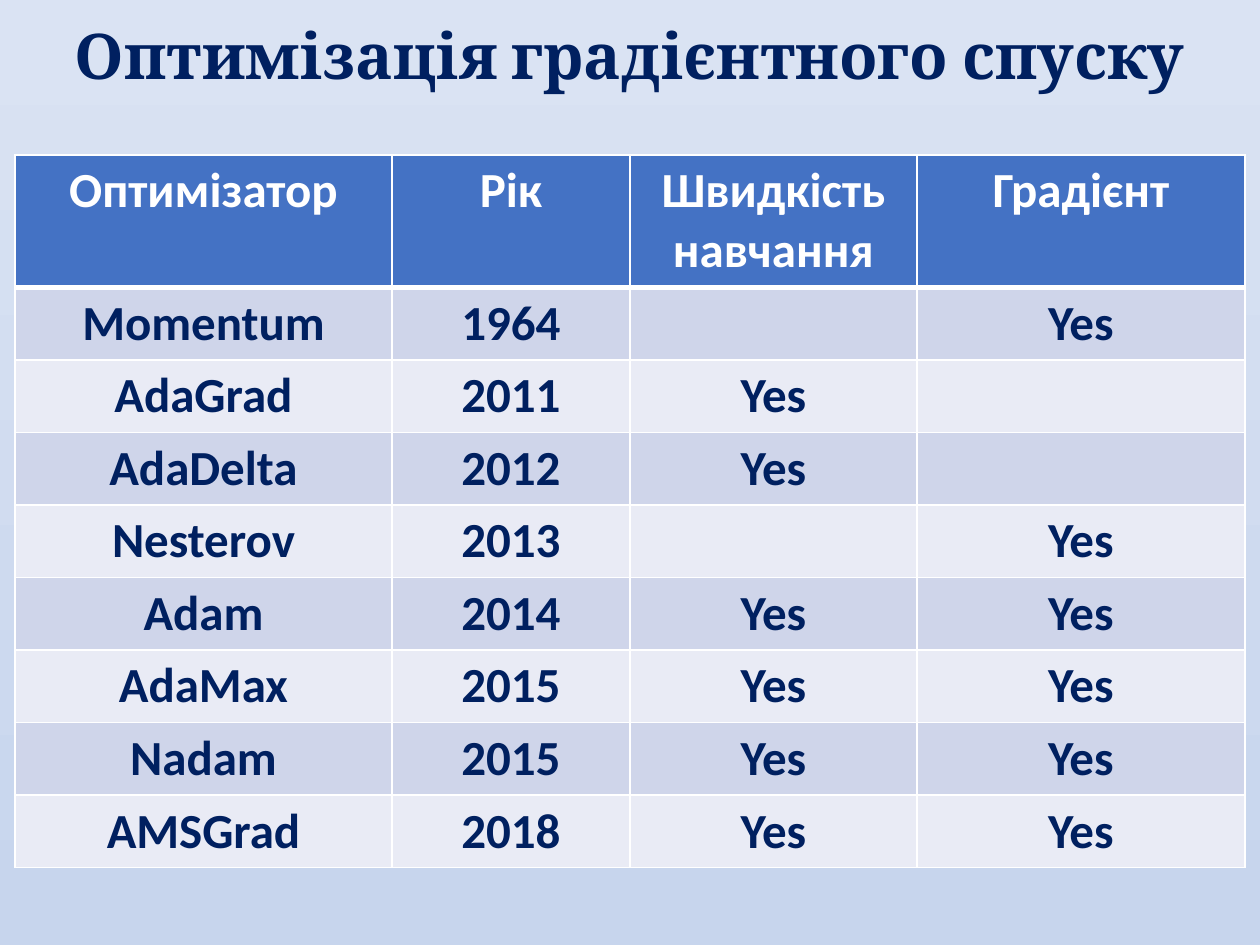
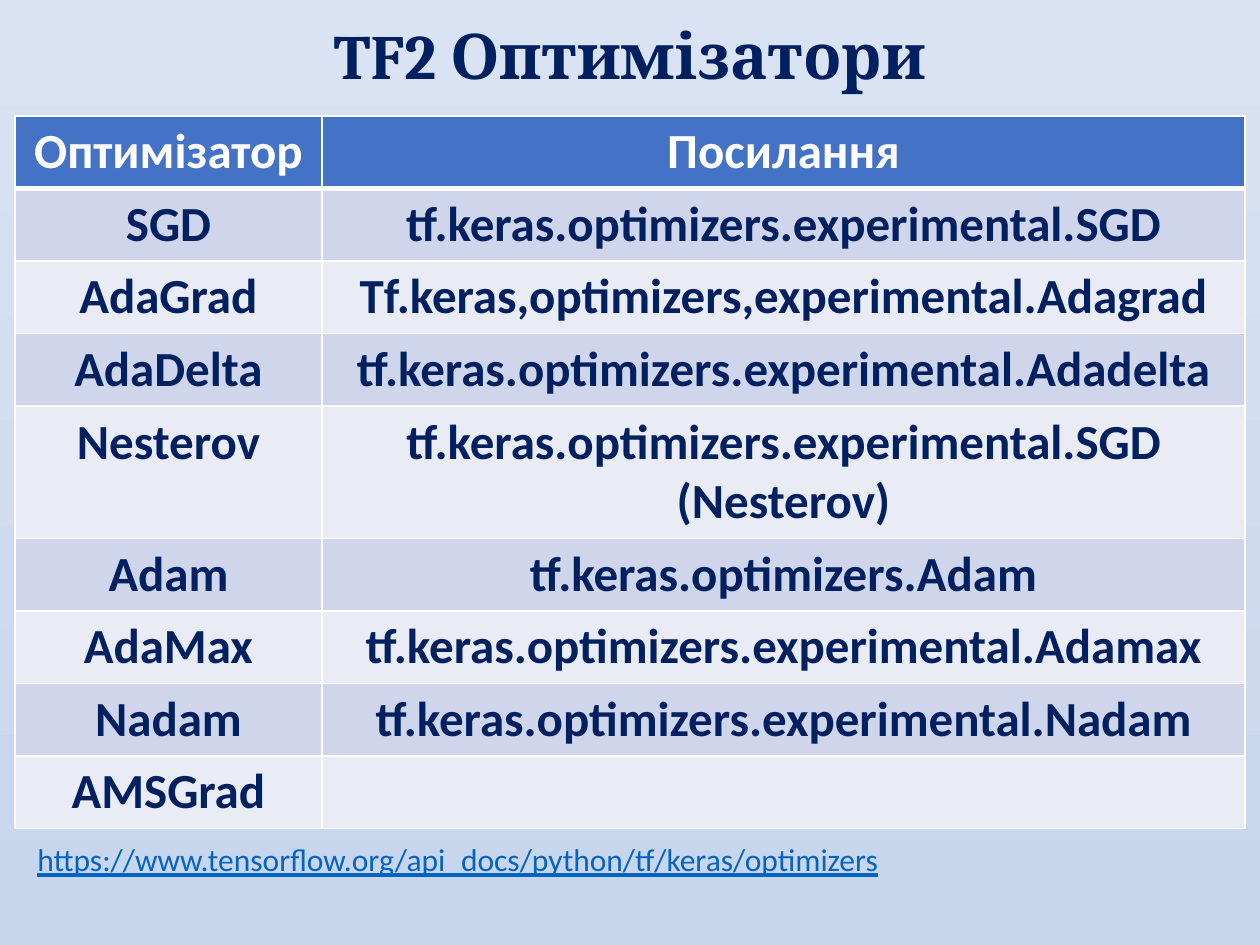
from lxml.etree import SubElement as Sub
from pptx import Presentation
from pptx.dml.color import RGBColor as RGB
from pptx.enum.text import MSO_ANCHOR as Anchor, MSO_AUTO_SIZE as Fit, PP_ALIGN as Align
from pptx.oxml.ns import qn
from pptx.util import Emu, Pt

SCALE = 914400 / 126  # EMU in one px
WIDE, HIGH = 1260, 945
EDGE = 15
ROW = 71
HUES = {
    "sky": "DAE3F3", "mist": "C7D5ED", "navy": "002060", "white": "FFFFFF",
    "head": "4472C4", "odd": "CFD5EA", "even": "E9EBF5", "link": "0563C1",
}


def px(size):
    return Emu(round(size * SCALE))


def hue(name):
    return RGB.from_string(HUES[name])


class Deck:
    def __init__(self):
        self.prs = Presentation()
        self.prs.slide_width, self.prs.slide_height = px(WIDE), px(HIGH)
        self.page = None

    def start(self, title):
        """Add a slide with the shared background and title."""
        self.page = self.prs.slides.add_slide(self.prs.slide_layouts[5])
        fill = self.page.background.fill
        fill.gradient()
        fill.gradient_angle = 270
        for stop, name in zip(fill.gradient_stops, ("sky", "mist")):
            stop.color.rgb = hue(name)
        head = self.page.shapes.title
        self.place(head, EDGE, 10, WIDE - 2 * EDGE, 89)
        frame = head.text_frame
        frame.text = title
        frame.auto_size = Fit.NONE
        frame.vertical_anchor = Anchor.MIDDLE
        self.style(frame, 36, "navy", "Cambria")

    def place(self, shape, x, y, w, h):
        shape.left, shape.top, shape.width, shape.height = map(px, (x, y, w, h))

    def style(self, frame, size, color, face="Calibri", bold=True, align=Align.CENTER):
        for para in frame.paragraphs:
            para.alignment = align
            font = para.font
            font.name, font.size, font.bold = face, Pt(size), bold
            font.color.rgb = hue(color)

    def border(self, cell, top=1, base=1):
        props = cell._tc.get_or_add_tcPr()
        for side, width in (("L", 1), ("R", 1), ("T", top), ("B", base)):
            line = Sub(props, qn(f"a:ln{side}"), w=str(Pt(width)))
            Sub(Sub(line, qn("a:solidFill")), qn("a:srgbClr"), val=HUES["white"])

    def table(self, y, cols, rows, top):
        """Draw a banded grid; top is the height of the header row."""
        high = top + ROW * (len(rows) - 1)
        grid = self.page.shapes.add_table(
            len(rows), len(cols), px(EDGE), px(y), px(sum(cols)), px(high)).table
        for col, wide in zip(grid.columns, cols):
            col.width = px(wide)
        for i, row in enumerate(rows):
            grid.rows[i].height = px(ROW if i else top)
            band = ("odd" if i % 2 else "even") if i else "head"
            for j, text in enumerate(row):
                cell = grid.cell(i, j)
                cell.text = text
                self.style(cell.text_frame, 28, "navy" if i else "white")
                self.border(cell, 3 if i == 1 else 1, 1 if i else 3)
                cell.fill.solid()
                cell.fill.fore_color.rgb = hue(band)

    def link(self, text, x, y, w, h):
        box = self.page.shapes.add_textbox(*map(px, (x, y, w, h)))
        frame = box.text_frame
        frame.word_wrap = True
        frame.text = text
        self.style(frame, 18, "link", bold=False, align=Align.LEFT)
        frame.paragraphs[0].font.underline = True


def main():
    deck = Deck()

    # Optimizers by year and by what they adapt
    deck.start("Оптимізація градієнтного спуску")
    deck.table(155, (377, 238, 287, 328), [
        ("Оптимізатор", "Рік", "Швидкість\nнавчання", "Градієнт"),
        ("Momentum", "1964", "", "Yes"),
        ("AdaGrad", "2011", "Yes", ""),
        ("AdaDelta", "2012", "Yes", ""),
        ("Nesterov", "2013", "", "Yes"),
        ("Adam", "2014", "Yes", "Yes"),
        ("AdaMax", "2015", "Yes", "Yes"),
        ("Nadam", "2015", "Yes", "Yes"),
        ("AMSGrad", "2018", "Yes", "Yes"),
    ], top=130)

    # Class names in the library
    deck.start("TF2 Оптимізатори")
    base = "tf.keras.optimizers."
    trial = base + "experimental."
    deck.table(116, (307, 923), [
        ("Оптимізатор", "Посилання"),
        ("SGD", trial + "SGD"),
        ("AdaGrad", "Tf.keras,optimizers,experimental.Adagrad"),
        ("AdaDelta", trial + "Adadelta"),
        ("Nesterov", trial + "SGD (Nesterov)"),
        ("Adam", base + "Adam"),
        ("AdaMax", trial + "Adamax"),
        ("Nadam", trial + "Nadam"),
        ("AMSGrad", ""),
    ], top=ROW)
    deck.link("https://www.tensorflow.org/api_docs/python/tf/keras/optimizers",
              25, 834, 1211, 89)

    deck.prs.save("out.pptx")


if __name__ == "__main__":
    main()
